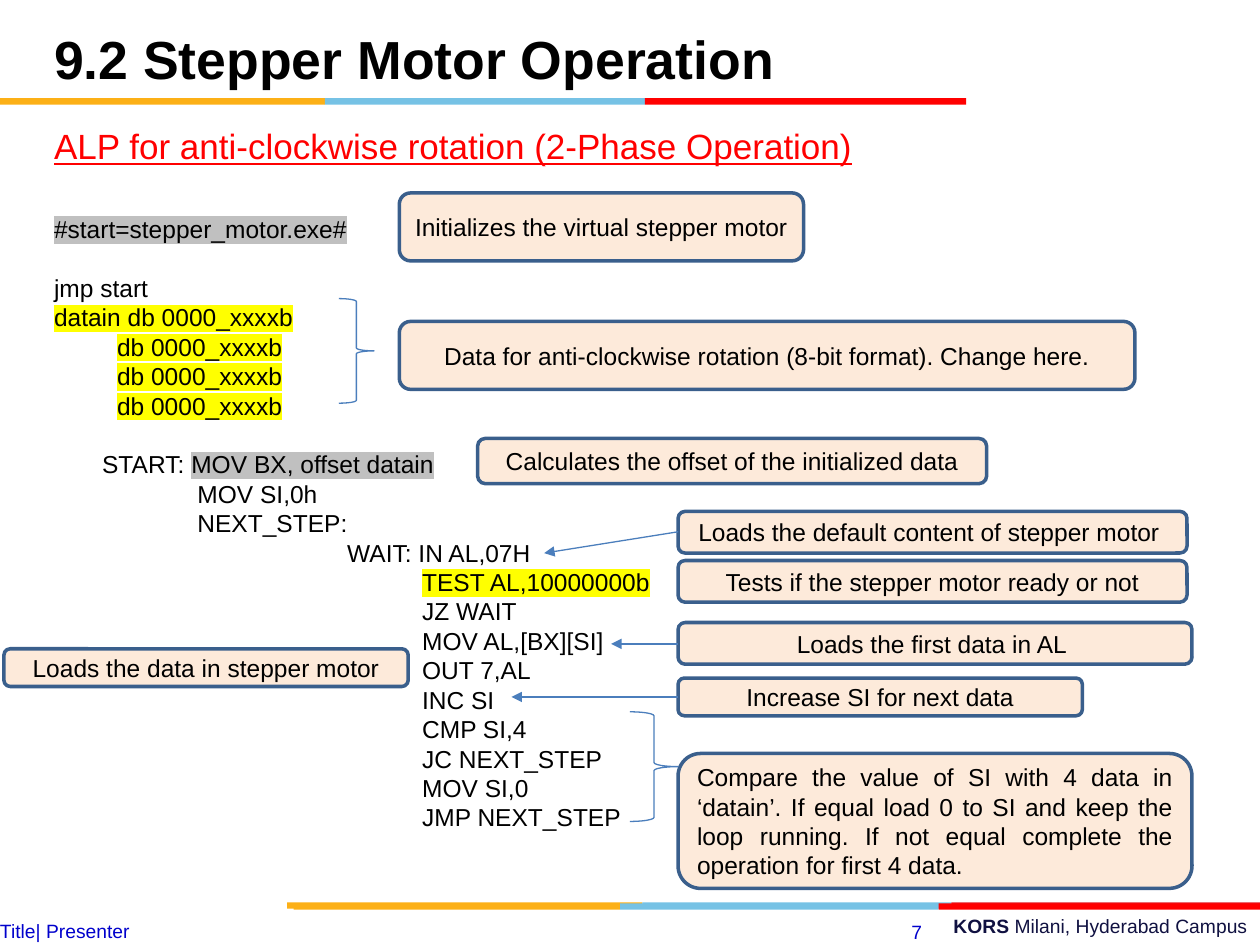
from lxml import etree
from pptx import Presentation
from pptx import util as u
from pptx.dml.color import RGBColor
from pptx.enum import shapes, text
from pptx.oxml.ns import qn

Cm, Pt = u.Cm, u.Pt
HUE = {
    "gold": "FCB017", "sky": "76C2E5", "red": "FF0000", "brick": "E31C24",
    "black": "000000", "navy": "101141", "blue": "0000CC",
    "peach": "FDEADA", "edge": "3A5F8C", "line": "4B7EBC",
    "gray": "C0C0C0", "yellow": "FFFF00",
}
LEFT, MID = text.PP_ALIGN.LEFT, text.PP_ALIGN.CENTER
RIGHT, FULL = text.PP_ALIGN.RIGHT, text.PP_ALIGN.JUSTIFY
KIND = shapes.MSO_SHAPE

deck = Presentation()
deck.slide_width, deck.slide_height = Cm(25.4), Cm(19.05)
slide = deck.slides.add_slide(deck.slide_layouts[6])
items = slide.shapes


def rgb(name):
    return RGBColor.from_string(HUE[name])


def add_run(para, words, size, hue="black", bold=False, mark=None):
    """Add one run; mark names its highlight colour."""
    run = para.add_run()
    run.text = words
    font = run.font
    font.name, font.size, font.bold = "Arial", Pt(size), bold
    font.color.rgb = rgb(hue)
    if mark:
        glow = etree.Element(qn("a:highlight"))
        etree.SubElement(glow, qn("a:srgbClr")).set("val", HUE[mark])
        font._element.find(qn("a:solidFill")).addnext(glow)
    return run


# Colour bands: top, edges of the three parts, colours
bands = [
    (18.19, (5.79, 12.95, 19.18, 25.4), ("gold", "sky", "brick")),
    (18.21, (5.92, 12.5, 18.92, 25.4), ("gold", "sky", "red")),
    (1.98, (0, 6.55, 13, 19.48), ("gold", "sky", "red")),
]
for top, edges, hues in bands:
    for start, end, hue in zip(edges, edges[1:], hues):
        band = items.add_shape(KIND.RECTANGLE, Cm(start), Cm(top),
                               Cm(end - start), Cm(0.13))
        band.shadow.inherit = False
        band.fill.solid()
        band.fill.fore_color.rgb = rgb(hue)
        band.line.fill.background()

# Headings and footer: box, inset, alignment, runs (words, size, hue, bold)
labels = [
    ((9.09, 18.31, 16.31, 0.74), True, RIGHT,
     [("KORS ", 11, "navy", True),
      ("Milani, Hyderabad Campus", 11, "navy", False)]),
    ((16.94, 18.42, 1.9, 0.7), True, RIGHT, [("7", 11, "blue", False)]),
    ((0, 18.54, 17.78, 0.48), False, LEFT,
     [("Title| Presenter", 11, "blue", False)]),
    ((0.84, 0.61, 17.58, 1.37), True, LEFT,
     [("9.2 Stepper Motor Operation", 30.6, "black", True)]),
    ((0.84, 2.39, 19.05, 1.12), True, LEFT,
     [("ALP for anti-clockwise rotation (2-Phase Operation)",
       20, "red", False)]),
]
for box, inset, align, runs in labels:
    frame = items.add_textbox(*map(Cm, box)).text_frame
    frame.word_wrap = True
    if not inset:
        frame.margin_left = frame.margin_right = 0
        frame.margin_top = frame.margin_bottom = 0
    para = frame.paragraphs[0]
    para.alignment = align
    for words, size, hue, bold in runs:
        run = add_run(para, words, size, hue, bold)
    if size > 30:
        para.line_spacing = 0.8
        frame.vertical_anchor = text.MSO_ANCHOR.MIDDLE
    if hue == "red":
        run.font.underline = True

# Program listing: indent, gap above, runs (words, highlight)
DEEP = 7.42
data = "db 0000_xxxxb"
code = [
    (0, 0, [("#start=stepper_motor.exe#", "gray")]),
    (0, 1, [("jmp start", None)]),
    (0, 0, [("datain " + data, "yellow")]),
    *[(0, 0, [("\t" + data, "yellow")])] * 3,
    (0.97, 1, [("START: ", None), ("MOV BX, offset datain", "gray")]),
    (2.89, 0, [("MOV SI,0h", None)]),
    (2.89, 0, [("NEXT_STEP:", None)]),
    (5.91, 0, [("WAIT: IN AL,07H", None)]),
    (DEEP, 0, [("TEST AL,10000000b", "yellow")]),
]
for words in ("JZ WAIT", "MOV AL,[BX][SI]", "OUT 7,AL", "INC SI",
              "CMP SI,4", "JC NEXT_STEP", "MOV SI,0", "JMP NEXT_STEP"):
    code.append((DEEP, 0, [(words, None)]))

frame = items.add_textbox(Cm(0.84), Cm(4.19), Cm(12.83), Cm(12.83)).text_frame
frame.word_wrap = True
for row, (indent, gap, runs) in enumerate(code):
    para = frame.add_paragraph() if row else frame.paragraphs[0]
    para.space_before = Pt(16.8 * gap)
    props = para._p.get_or_add_pPr()
    props.set("marL", str(Cm(indent)))
    props.set("indent", "0")
    if runs[0][0].startswith("\t"):
        tabs = etree.SubElement(props, qn("a:tabLst"))
        etree.SubElement(tabs, qn("a:tab"), pos=str(Cm(1.51)), algn="l")
    for words, mark in runs:
        add_run(para, words, 14, mark=mark)

# Callouts: box, words, alignment
COL = 13.67
notes = [
    ((8.05, 3.89, 8.15, 1.37), "Initializes the virtual stepper motor", MID),
    ((8.05, 6.48, 14.83, 1.37),
     "Data for anti-clockwise rotation (8-bit format). Change here.", MID),
    ((9.63, 8.84, 10.26, 0.91),
     "Calculates the offset of the initialized data", MID),
    ((COL, 11.3, 10.26, 0.84), "Tests if the stepper motor ready or not", MID),
    ((COL, 12.55, 10.36, 0.84), "Loads the first data in AL ", MID),
    ((COL, 10.31, 10.26, 0.84),
     "Loads the default content of stepper motor ", MID),
    ((0.08, 13.08, 8.15, 0.76), "Loads the data in stepper motor", MID),
    ((COL, 13.67, 8.15, 0.76), "Increase SI for next data", MID),
    ((COL, 15.19, 10.36, 2.72),
     "Compare the value of SI with 4 data in ‘datain’. If equal load 0 to SI "
     "and keep the loop running. If not equal complete the operation for "
     "first 4 data.", FULL),
]
for box, words, align in notes:
    note = items.add_shape(KIND.ROUNDED_RECTANGLE, *map(Cm, box))
    note.shadow.inherit = False
    note.fill.solid()
    note.fill.fore_color.rgb = rgb("peach")
    note.line.color.rgb = rgb("edge")
    note.line.width = Pt(2)
    frame = note.text_frame
    frame.word_wrap = True
    frame.vertical_anchor = text.MSO_ANCHOR.MIDDLE
    frame.paragraphs[0].alignment = align
    add_run(frame.paragraphs[0], words, 14)

# Arrows from the callout column to the code
for start, tip, end in ((10.72, 10.97, 11.15), (12.98, 12.32, 12.98),
                        (14.05, 10.31, 14.05)):
    arrow = items.add_connector(shapes.MSO_CONNECTOR.STRAIGHT, Cm(COL),
                                Cm(start), Cm(tip), Cm(end))
    arrow.line.color.rgb = rgb("line")
    arrow.line.width = Pt(0.75)
    etree.SubElement(arrow.line._get_or_add_ln(), qn("a:tailEnd"),
                     type="triangle")
    etree.SubElement(arrow._element.spPr, qn("a:effectLst"))

# Braces that group code lines
for box in ((12.7, 14.35, 0.97, 2.21), (6.83, 6.02, 0.71, 2.11)):
    brace = items.add_shape(KIND.RIGHT_BRACE, *map(Cm, box))
    brace.shadow.inherit = False
    brace.fill.background()
    brace.line.color.rgb = rgb("line")
    brace.line.width = Pt(0.75)

deck.save("out.pptx")
